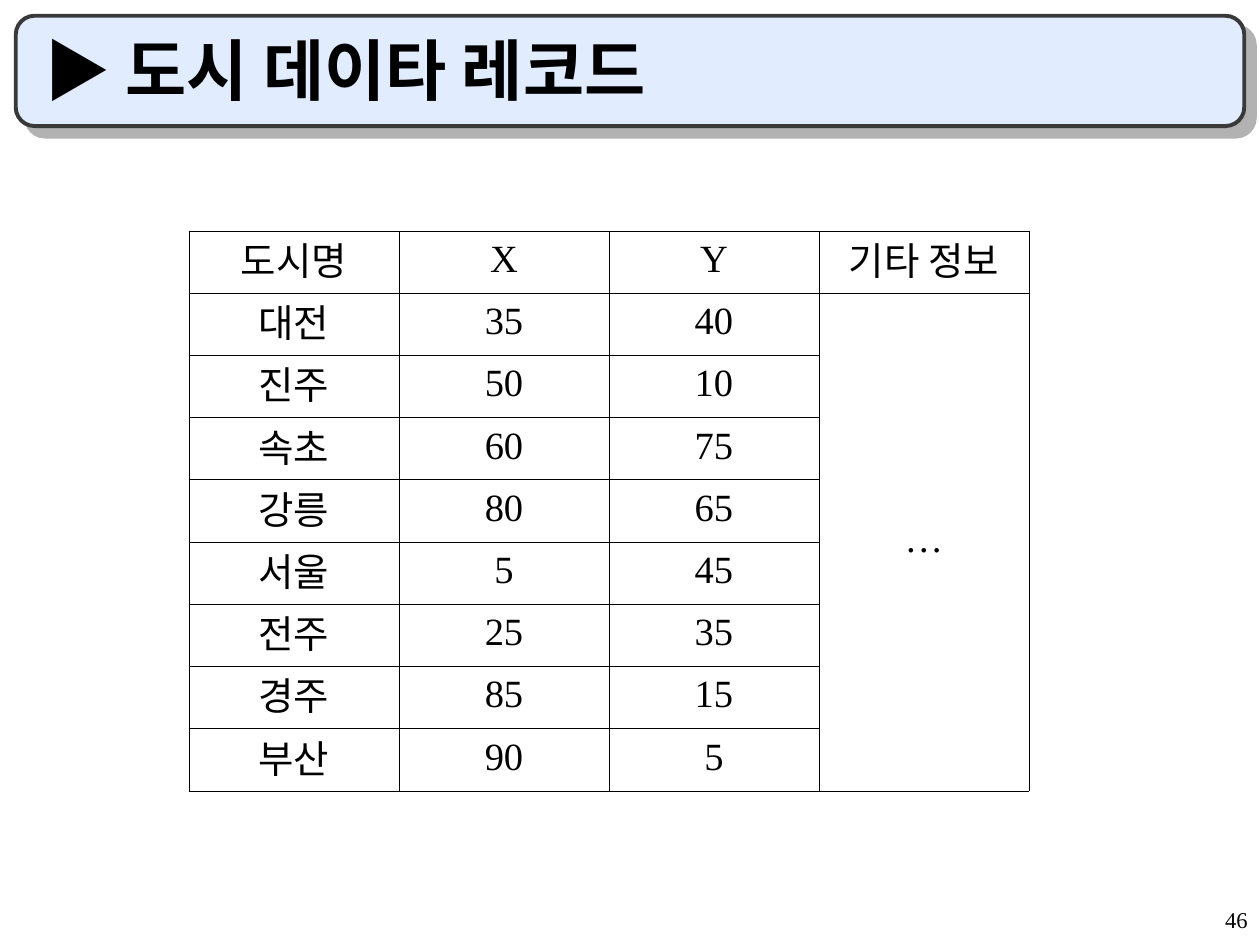
from lxml.etree import SubElement
from pptx import Presentation
from pptx.dml.color import RGBColor
from pptx.enum.shapes import MSO_SHAPE as Preset
from pptx.enum.text import MSO_ANCHOR as Anchor, MSO_AUTO_SIZE as AutoSize, PP_ALIGN as Align
from pptx.oxml.ns import qn
from pptx.util import Pt

COLORS = {
    "text": "000000",
    "grid": "000000",
    "cell": "FFFFFF",
    "banner": "E1ECFF",
    "banner_line": "393939",
    "banner_shadow": "B2B2B2",
}
FONT = "Times New Roman"
HEADINGS = ["도시명", "X", "Y", "기타 정보"]
CITIES = [
    ("대전", 35, 40),
    ("진주", 50, 10),
    ("속초", 60, 75),
    ("강릉", 80, 65),
    ("서울", 5, 45),
    ("전주", 25, 35),
    ("경주", 85, 15),
    ("부산", 90, 5),
]


def color(name):
    return RGBColor.from_string(COLORS[name])


def add_text(frame, wording, size, align, spacing=1.0, bold=False):
    paragraph = frame.paragraphs[0]
    paragraph.alignment = align
    paragraph.line_spacing = spacing
    paragraph.space_before = Pt(0)
    run = paragraph.add_run()
    run.text = wording
    run.font.name = FONT
    run.font.size = Pt(size)
    run.font.bold = bold
    run.font.color.rgb = color("text")


def add_banner(slide):
    banner = slide.shapes.add_shape(
        Preset.ROUNDED_RECTANGLE, Pt(9), Pt(9), Pt(702), Pt(63))
    banner.adjustments[0] = 0.17
    banner.fill.solid()
    banner.fill.fore_color.rgb = color("banner")
    banner.line.color.rgb = color("banner_line")
    banner.line.width = Pt(2.25)
    banner.shadow.inherit = False
    effects = banner.element.spPr.find(qn("a:effectLst"))
    shadow = SubElement(effects, qn("a:outerShdw"), dist=str(Pt(8.5)),
                        dir=str(45 * 60000), algn="ctr", rotWithShape="0")
    SubElement(shadow, qn("a:srgbClr"), val=COLORS["banner_shadow"])
    slide.shapes.title.element.addprevious(banner.element)


def add_title(slide, wording):
    title = slide.shapes.title
    title.left, title.top, title.width, title.height = Pt(18), Pt(18), Pt(678), Pt(48)
    frame = title.text_frame
    frame.auto_size = AutoSize.NONE
    frame.vertical_anchor = Anchor.BOTTOM
    add_text(frame, wording, 38, Align.LEFT, bold=True)


def add_borders(cell):
    properties = cell._tc.get_or_add_tcPr()
    for side in ("lnL", "lnR", "lnT", "lnB"):
        border = SubElement(properties, qn(f"a:{side}"), w=str(Pt(0.45)))
        fill = SubElement(border, qn("a:solidFill"))
        SubElement(fill, qn("a:srgbClr"), val=COLORS["grid"])


def add_city_table(slide):
    rows = [HEADINGS] + [[*city, ""] for city in CITIES]
    rows[1][-1] = "…"
    table = slide.shapes.add_table(
        len(rows), len(HEADINGS), Pt(108), Pt(132), Pt(480), Pt(320)).table
    table.first_row = False
    table.horz_banding = False
    for row_index, row in enumerate(rows):
        for column_index, value in enumerate(row):
            cell = table.cell(row_index, column_index)
            add_borders(cell)
            cell.fill.solid()
            cell.fill.fore_color.rgb = color("cell")
            cell.vertical_anchor = Anchor.MIDDLE
            if value != "":
                add_text(cell.text_frame, str(value), 22, Align.CENTER, 0.8)
    other_info = len(HEADINGS) - 1
    table.cell(1, other_info).merge(table.cell(len(CITIES), other_info))


def add_page_number(slide, number):
    frame = slide.shapes.add_textbox(Pt(570), Pt(516), Pt(150), Pt(24)).text_frame
    frame.word_wrap = True
    add_text(frame, number, 12.9, Align.RIGHT, 0.9)


def main():
    deck = Presentation()
    deck.slide_width, deck.slide_height = Pt(720), Pt(540)
    slide = deck.slides.add_slide(deck.slide_layouts[5])
    add_banner(slide)
    add_title(slide, "▶ 도시 데이타 레코드")
    add_city_table(slide)
    add_page_number(slide, "46")
    deck.save("out.pptx")


if __name__ == "__main__":
    main()
